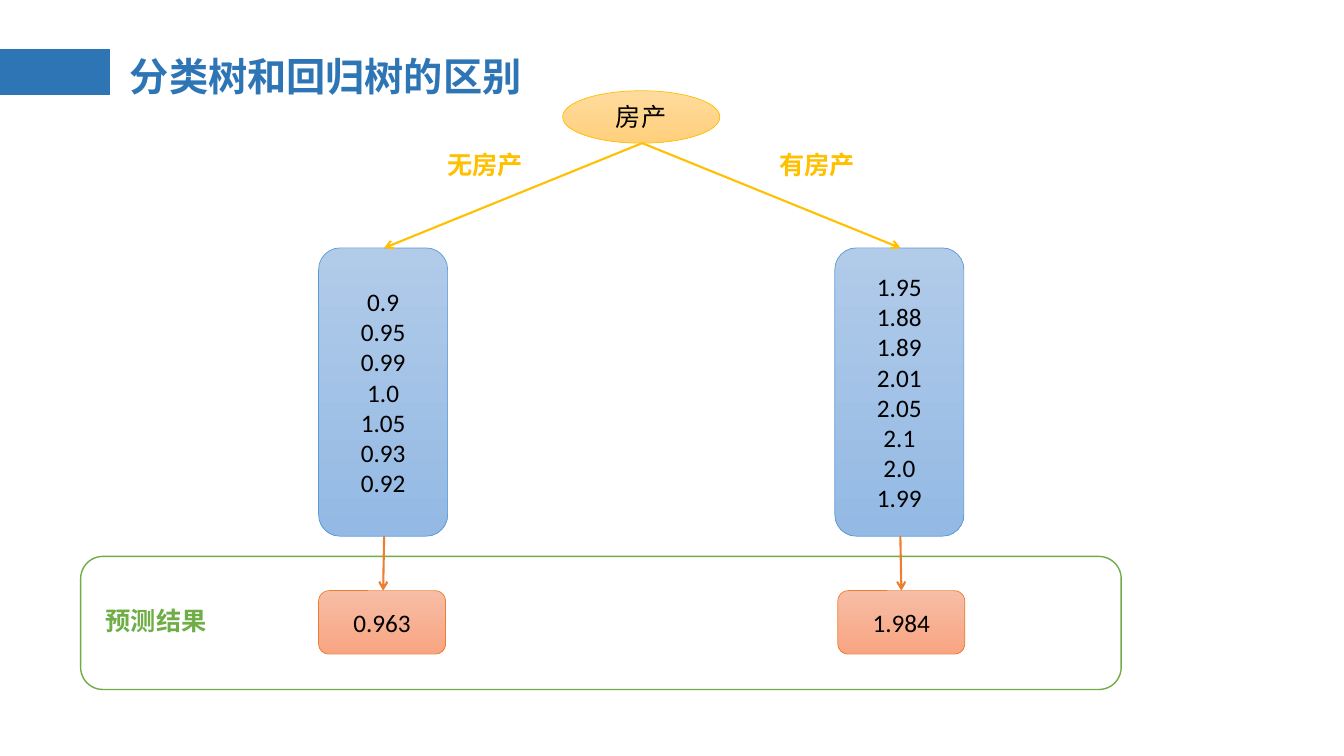
from pptx import Presentation
from pptx.dml.color import RGBColor
from pptx.enum.shapes import MSO_CONNECTOR as CONN, MSO_SHAPE as SHAPE
from pptx.enum.text import MSO_ANCHOR as ANCHOR, PP_ALIGN as ALIGN
from pptx.oxml.ns import qn
from pptx.util import Inches, Pt
from lxml.etree import SubElement

CJK = "Noto Sans CJK SC"
BLUE, GOLD, GREEN, ORANGE = "2E75B6", "FFC000", "70AD47", "ED7D31"
GOLD_FILL = ("FFDB9E", "FFD07C")
BLUE_FILL = ("B1CBE9", "93B9E4")
ORANGE_FILL = ("F7BDA5", "F8A582")

rgb = RGBColor.from_string


def add_box(kind, box, fills, line, width, lines=()):
    """Add a shape with one fill colour, or two for a downward gradient, and centred lines."""
    s = shapes.add_shape(kind, *map(Inches, box))
    s.shadow.inherit = False
    if len(fills) == 1:
        s.fill.solid()
        s.fill.fore_color.rgb = rgb(fills[0])
    else:
        s.fill.gradient()
        s.fill.gradient_angle = 270
        for stop, color in zip(s.fill.gradient_stops, fills):
            stop.color.rgb = rgb(color)
    s.line.color.rgb = rgb(line)
    s.line.width = Pt(width)
    if lines:
        tf = s.text_frame
        tf.vertical_anchor = ANCHOR.MIDDLE
        for i, text in enumerate(lines):
            p = tf.add_paragraph() if i else tf.paragraphs[0]
            p.text = text
            p.alignment = ALIGN.CENTER
            p.font.size = Pt(18)
            p.font.name = "Calibri"
            p.font.color.rgb = rgb("000000")


def add_arrow(start, end, color):
    s = shapes.add_connector(CONN.STRAIGHT, *map(Inches, start + end))
    s.line.color.rgb = rgb(color)
    s.line.width = Pt(1.5)
    SubElement(s.line._get_or_add_ln(), qn("a:tailEnd"), type="arrow")
    SubElement(s._element.spPr, qn("a:effectLst"))


prs = Presentation()
prs.slide_width, prs.slide_height = Inches(13.33), Inches(7.5)
shapes = prs.slides.add_slide(prs.slide_layouts[6]).shapes

# Title bar, result frame and root node
add_box(SHAPE.RECTANGLE, (0, 0.48, 1.1, 0.47), [BLUE], "FFFFFF", 0.75)
add_box(SHAPE.ROUNDED_RECTANGLE, (0.8, 5.52, 10.32, 1.32), ["FFFFFF"], GREEN, 1)
add_box(SHAPE.OVAL, (5.58, 0.9, 1.56, 0.52), GOLD_FILL, GOLD, 0.5, ["房产"])

# Each branch: leaf left, result left, arrow end, leaf values, prediction
branches = [
    (3.16, 3.16, 3.8, ["0.9", "0.95", "0.99", "1.0", "1.05", "0.93", "0.92"], "0.963"),
    (8.28, 8.31, 8.94,
     ["1.95", "1.88", "1.89", "2.01", "2.05", "2.1", "2.0", "1.99"], "1.984"),
]
for leaf_x, result_x, arrow_x, values, prediction in branches:
    add_box(SHAPE.ROUNDED_RECTANGLE, (leaf_x, 2.46, 1.28, 2.86),
            BLUE_FILL, "5B9BD5", 0.5, values)
    add_box(SHAPE.ROUNDED_RECTANGLE, (result_x, 5.86, 1.26, 0.63),
            ORANGE_FILL, ORANGE, 0.5, [prediction])
    leaf_mid = leaf_x + 0.65
    add_arrow((6.37, 1.42), (leaf_mid, 2.46), GOLD)
    add_arrow((leaf_mid, 5.32), (arrow_x, 5.86), ORANGE)

# Title and labels
labels = [
    ("分类树和回归树的区别", (1.19, 0.18, 11.5, 1.2), 28, CJK, BLUE),
    ("无房产", (4.34, 1.43, 0.95, 0.4), 18, "Calibri", GOLD),
    ("有房产", (7.63, 1.43, 0.95, 0.4), 18, "Calibri", GOLD),
    ("预测结果", (0.95, 5.96, 1.21, 0.4), 18, "Calibri", GREEN),
]
for text, box, size, font, color in labels:
    tf = shapes.add_textbox(*map(Inches, box)).text_frame
    tf.word_wrap = size == 28
    tf.vertical_anchor = ANCHOR.MIDDLE if size == 28 else ANCHOR.TOP
    p = tf.paragraphs[0]
    p.text = text
    p.line_spacing = 0.9 if size == 28 else 1.0
    p.font.size = Pt(size)
    p.font.bold = True
    p.font.name = font
    p.font.color.rgb = rgb(color)

prs.save("out.pptx")
